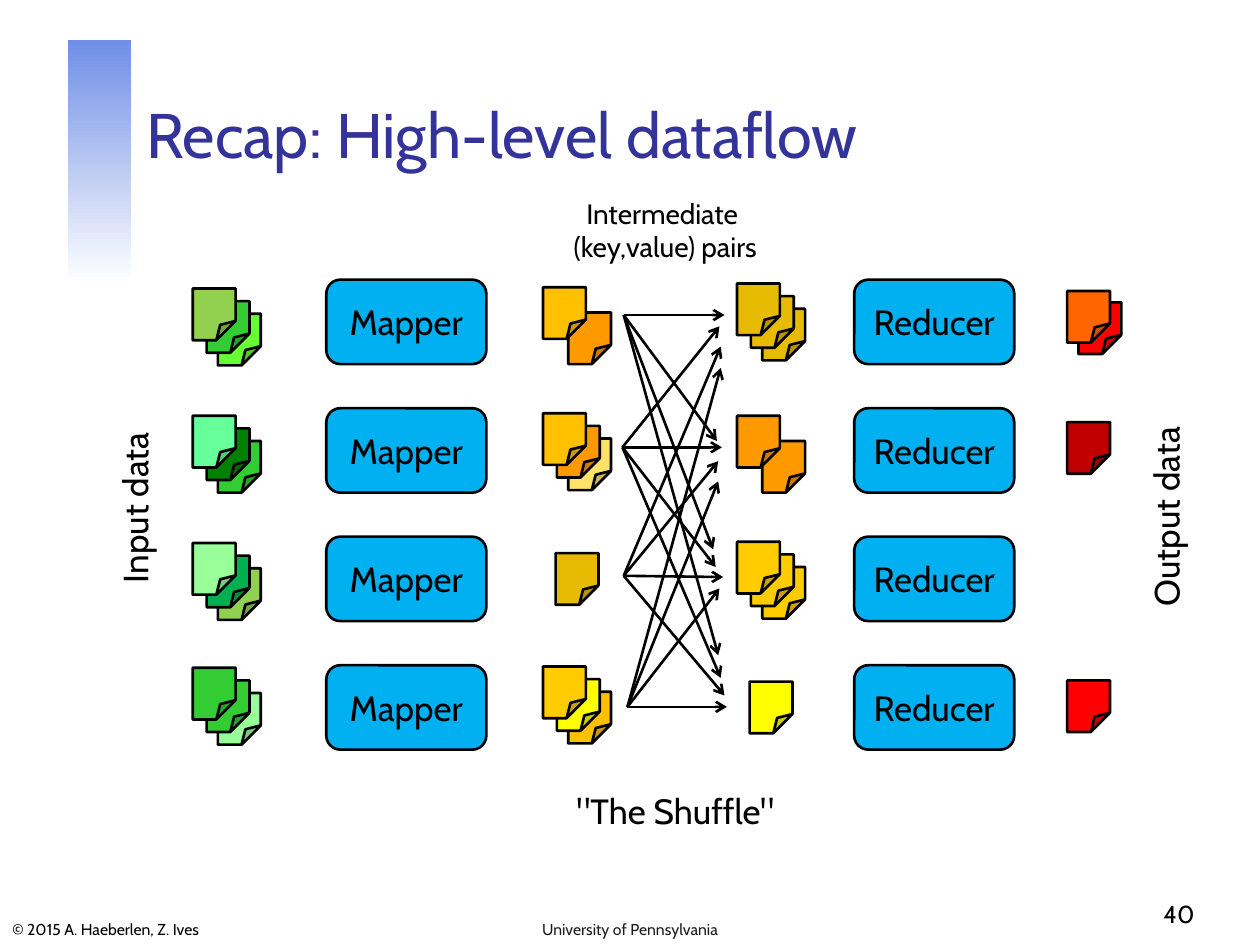
from lxml.etree import SubElement
from pptx import Presentation
from pptx.dml.color import RGBColor
from pptx.enum.shapes import MSO_CONNECTOR, MSO_SHAPE
from pptx.enum.text import MSO_ANCHOR, MSO_AUTO_SIZE, PP_ALIGN
from pptx.oxml.ns import qn
from pptx.util import Inches, Pt

FONT = "Cabin"
HUES = {
    "ink": "000000", "title": "333399", "foot": "1C1C1C", "box": "00B0F0",
    "top": "708FE6", "base": "FFFFFF",
    "neon": "66FF33", "green": "33CC33", "olive": "92D050", "dark": "008000",
    "mint": "66FF99", "jade": "00B050", "pale": "99FF99",
    "orange": "FF9900", "amber": "FFC000", "cream": "FFE267", "gold": "E7BB01",
    "sun": "FFCC00", "yellow": "FFFF00",
    "wine": "C00000", "red": "FF0000", "rust": "FF6600",
}
ROWS, FIRST, PITCH = 4, 2.22, 1.02
BOXES = [("Mapper", 2.59), ("Reducer", 6.78)]
BOX = (1.27, 0.67)
PAGE = (0.34, 0.41)
TRIO = [(0, 0), (0.11, 0.1), (0.2, 0.2)]
PILES = [
    {"left": 1.53, "tops": [2.29, 3.3, 4.31, 5.3], "pair": 0.2, "lone": (0.1, 0.1),
     "hues": [["olive", "green", "neon"], ["mint", "dark", "green"],
              ["pale", "jade", "olive"], ["green", "green", "pale"]]},
    {"left": 4.31, "tops": [2.28, 3.28, 4.29, 5.29], "pair": 0.2, "lone": (0.1, 0.1),
     "hues": [["amber", "orange"], ["amber", "orange", "cream"],
              ["gold"], ["sun", "yellow", "amber"]]},
    {"left": 5.85, "tops": [2.25, 3.3, 4.3, 5.31], "pair": 0.2, "lone": (0.1, 0.1),
     "hues": [["gold"] * 3, ["orange"] * 2, ["sun"] * 3, ["yellow"]]},
    {"left": 8.47, "tops": [2.31, 3.35, 4.35, 5.4], "pair": 0.09, "lone": (0, 0),
     "hues": [["rust", "red"], ["wine"], [], ["red"]]},
]
STARTS = [(4.95, 2.5), (4.94, 3.55), (4.95, 4.57), (4.98, 5.61)]
ENDS = [
    [(5.75, 2.5), (5.69, 3.5), (5.66, 4.36), (5.7, 5.2)],
    [(5.71, 2.59), (5.73, 3.55), (5.68, 4.5), (5.72, 5.38)],
    [(5.72, 2.75), (5.7, 3.66), (5.74, 4.58), (5.75, 5.52)],
    [(5.72, 2.92), (5.7, 3.82), (5.71, 4.67), (5.77, 5.61)],
]
LEFT, MID, RIGHT = PP_ALIGN.LEFT, PP_ALIGN.CENTER, PP_ALIGN.RIGHT
FOOTS = [
    ("© 2015 A. Haeberlen, Z. Ives", (0, 7.22, 1.94, 0.28), 9, "ink", LEFT),
    ("40", (7.5, 6.92, 2.08, 0.5), 14, "ink", RIGHT),
    ("University of Pennsylvania", (3.42, 7.22, 3.16, 0.28), 9, "foot", MID),
]
LABELS = [
    ("Input data", (0.29, 3.81, 1.56, 0.44), 20, 270),
    ("Output data", (8.36, 3.88, 1.79, 0.44), 20, 270),
    ('"The Shuffle"', (4.41, 6.22, 1.9, 0.44), 20, 0),
    ("Intermediate \v(key,value) pairs", (4.34, 1.51, 1.88, 0.64), 16, 0),
]


def hue(name):
    return RGBColor.from_string(HUES[name])


def write(shape, text, size, tint="ink", align=MID, anchor=MSO_ANCHOR.MIDDLE):
    frame = shape.text_frame
    frame.text = text
    frame.vertical_anchor = anchor
    for para in frame.paragraphs:
        para.alignment = align
        para.font.name = FONT
        para.font.size = Pt(size)
        para.font.color.rgb = hue(tint)
    return frame


def draw(slide, kind, at, tint):
    shape = slide.shapes.add_shape(kind, *map(Inches, at))
    shape.shadow.inherit = False
    shape.fill.solid()
    shape.fill.fore_color.rgb = hue(tint)
    shape.line.color.rgb = hue("ink")
    shape.line.width = Pt(1.5)
    return shape


def fade(slide):
    bar = draw(slide, MSO_SHAPE.RECTANGLE, (0.54, 0.32, 0.5, 1.93), "top")
    bar.line.fill.background()
    bar.fill.gradient()
    bar.fill.gradient_angle = 270
    for stop, spot, tint in zip(bar.fill.gradient_stops, (0, 1), ("top", "base")):
        stop.position = spot
        stop.color.rgb = hue(tint)


def pile(slide, left, top, hues, pair, lone):
    steps = {0: [], 1: [lone], 2: [(0, 0), (pair, pair)], 3: TRIO}[len(hues)]
    for (dx, dy), tint in reversed(list(zip(steps, hues))):
        page = draw(slide, MSO_SHAPE.FOLDED_CORNER, (left + dx, top + dy, *PAGE), tint)
        fold = next(page._element.iter(qn("a:avLst")))
        for old in list(fold):
            fold.remove(old)
        SubElement(fold, qn("a:gd"), name="adj", fmla="val 44800")


def arrow(slide, start, end):
    link = slide.shapes.add_connector(MSO_CONNECTOR.STRAIGHT, *map(Inches, start + end))
    link.line.color.rgb = hue("ink")
    link.line.width = Pt(1.5)
    props = link._element.spPr
    SubElement(props.find(qn("a:ln")), qn("a:tailEnd"), type="arrow")
    SubElement(props, qn("a:effectLst"))


def main():
    deck = Presentation()
    deck.slide_width, deck.slide_height = Inches(10), Inches(7.5)
    slide = deck.slides.add_slide(deck.slide_layouts[5])
    fade(slide)

    title = slide.shapes.title
    title.left, title.top, title.width, title.height = map(Inches, (1.06, 0.33, 8.52, 1.08))
    frame = write(title, "Recap: High-level dataflow", 36, "title", LEFT, MSO_ANCHOR.BOTTOM)
    frame.auto_size = MSO_AUTO_SIZE.NONE

    for text, at, size, tint, align in FOOTS:
        note = slide.shapes.add_textbox(*map(Inches, at))
        write(note, text, size, tint, align, MSO_ANCHOR.BOTTOM).word_wrap = True

    for text, left in BOXES:
        for row in range(ROWS):
            at = (left, FIRST + row * PITCH, *BOX)
            write(draw(slide, MSO_SHAPE.ROUNDED_RECTANGLE, at, "box"), text, 20)

    for col in PILES:
        for top, hues in zip(col["tops"], col["hues"]):
            pile(slide, col["left"], top, hues, col["pair"], col["lone"])

    for start, ends in zip(STARTS, ENDS):
        for end in ends:
            arrow(slide, start, end)

    for text, at, size, turn in LABELS:
        label = slide.shapes.add_textbox(*map(Inches, at))
        label.rotation = turn
        frame = write(label, text, size, anchor=MSO_ANCHOR.TOP)
        frame.word_wrap = False
        frame.auto_size = MSO_AUTO_SIZE.SHAPE_TO_FIT_TEXT

    deck.save("out.pptx")


if __name__ == "__main__":
    main()
